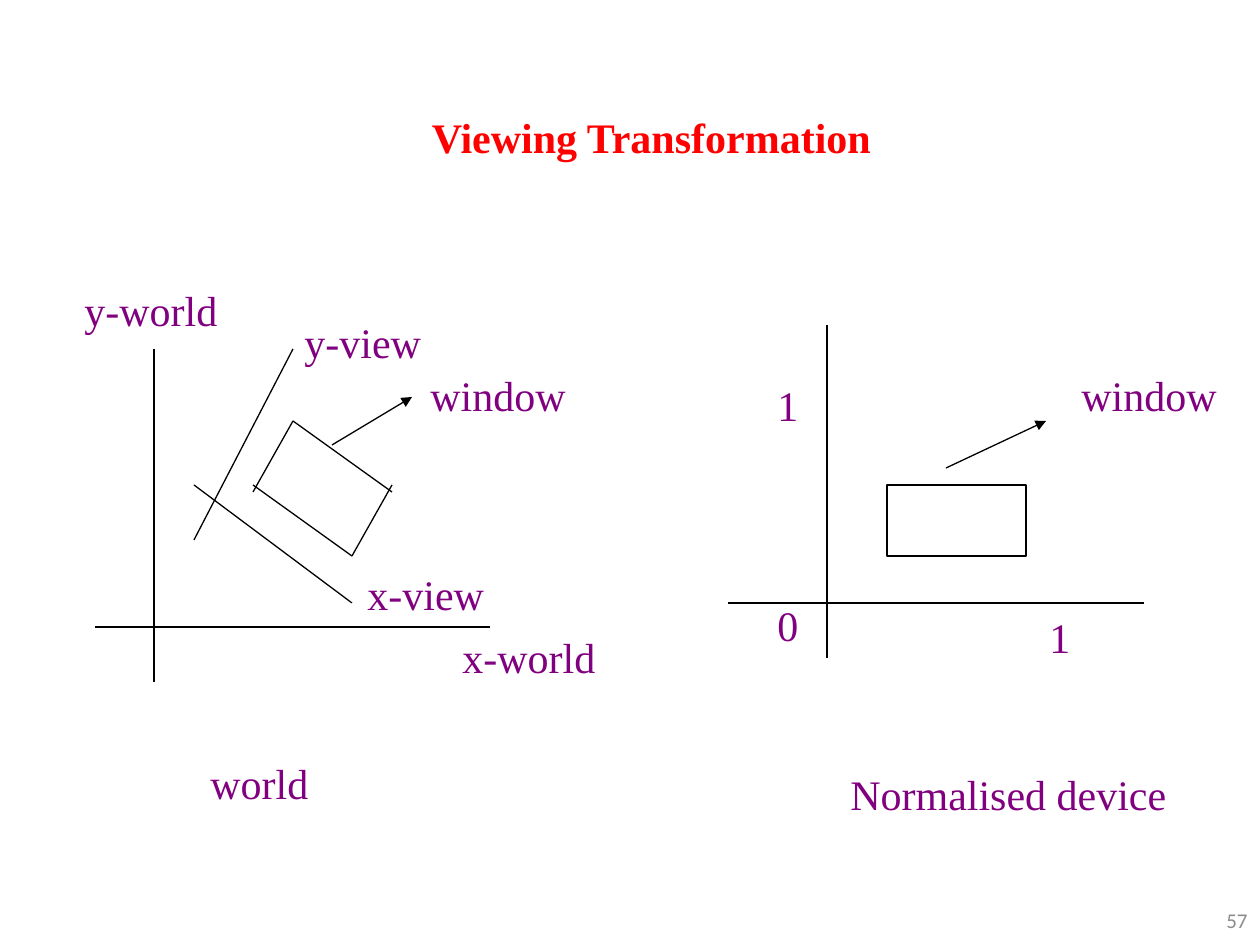
"""Build the viewing transformation slide."""
from pptx import Presentation
from pptx.dml.color import RGBColor
from pptx.enum.shapes import MSO_CONNECTOR, MSO_SHAPE
from pptx.enum.text import MSO_ANCHOR, PP_ALIGN
from pptx.oxml.ns import qn
from pptx.util import Pt
from lxml.etree import SubElement

PX = 914400 / 126
COLORS = {"title": "FF0000", "label": "800080", "line": "000000",
          "fill": "FFFFFF", "page": "8C8C8C"}


def emu(*vals):
    return [round(v * PX) for v in vals]


def write(text, area, color, size=24, face="Times New Roman", wrap=False):
    box = slide.shapes.add_textbox(*emu(*area))
    frame = box.text_frame
    frame.word_wrap = wrap
    frame.text = text
    font = frame.paragraphs[0].runs[0].font
    font.name = face
    font.size = Pt(size)
    font.color.rgb = RGBColor.from_string(COLORS[color])
    return frame


deck = Presentation()
deck.slide_width, deck.slide_height = emu(1260, 945)
slide = deck.slides.add_slide(deck.slide_layouts[6])

title = write("Viewing Transformation ", (168, 105, 977, 94), "title", wrap=True)
title.margin_left = title.margin_right = Pt(3)
title.paragraphs[0].alignment = PP_ALIGN.CENTER
title.paragraphs[0].runs[0].font.bold = True

black = RGBColor.from_string(COLORS["line"])
rect = slide.shapes.add_shape(MSO_SHAPE.RECTANGLE, *emu(887, 485, 139, 71))
rect.shadow.inherit = False
rect.fill.solid()
rect.fill.fore_color.rgb = RGBColor.from_string(COLORS["fill"])
rect.line.color.rgb = black
rect.line.width = Pt(0.75)

world = [(154, 349, 154, 682), (95, 627, 490, 627)]
view = [(293, 349, 194, 540), (194, 485, 352, 603)]
window = [(253, 492, 293, 421), (253, 485, 352, 556),
          (293, 421, 392, 492), (392, 485, 352, 556)]
device = [(827, 325, 827, 658), (728, 603, 1144, 603)]
arrows = [(332, 445, 412, 397), (946, 468, 1046, 421)]

for ends in world + view + window + device + arrows:
    line = slide.shapes.add_connector(MSO_CONNECTOR.STRAIGHT, *emu(*ends))
    line.line.color.rgb = black
    line.line.width = Pt(0.75)
    if ends in arrows:
        SubElement(line.line._get_or_add_ln(), qn("a:tailEnd"), type="triangle")
    SubElement(line._element.spPr, qn("a:effectLst"))

labels = [
    ("0", 765, 593, 47), ("1", 765, 373, 47), ("1", 1037, 605, 47),
    ("x-world", 450, 625, 159), ("y-world", 72, 278, 159),
    ("window", 418, 363, 161), ("window", 1069, 363, 161),
    ("Normalised device", 838, 762, 341), ("world", 198, 751, 123),
    ("y-view", 292, 310, 142), ("x-view", 355, 562, 142),
]
for text, left, top, width in labels:
    write(text, (left, top, width, 63), "label")

page = write("57", (966, 895, 294, 50), "page", 12, "Calibri", True)
page.vertical_anchor = MSO_ANCHOR.MIDDLE
page.paragraphs[0].alignment = PP_ALIGN.RIGHT

deck.save("out.pptx")
